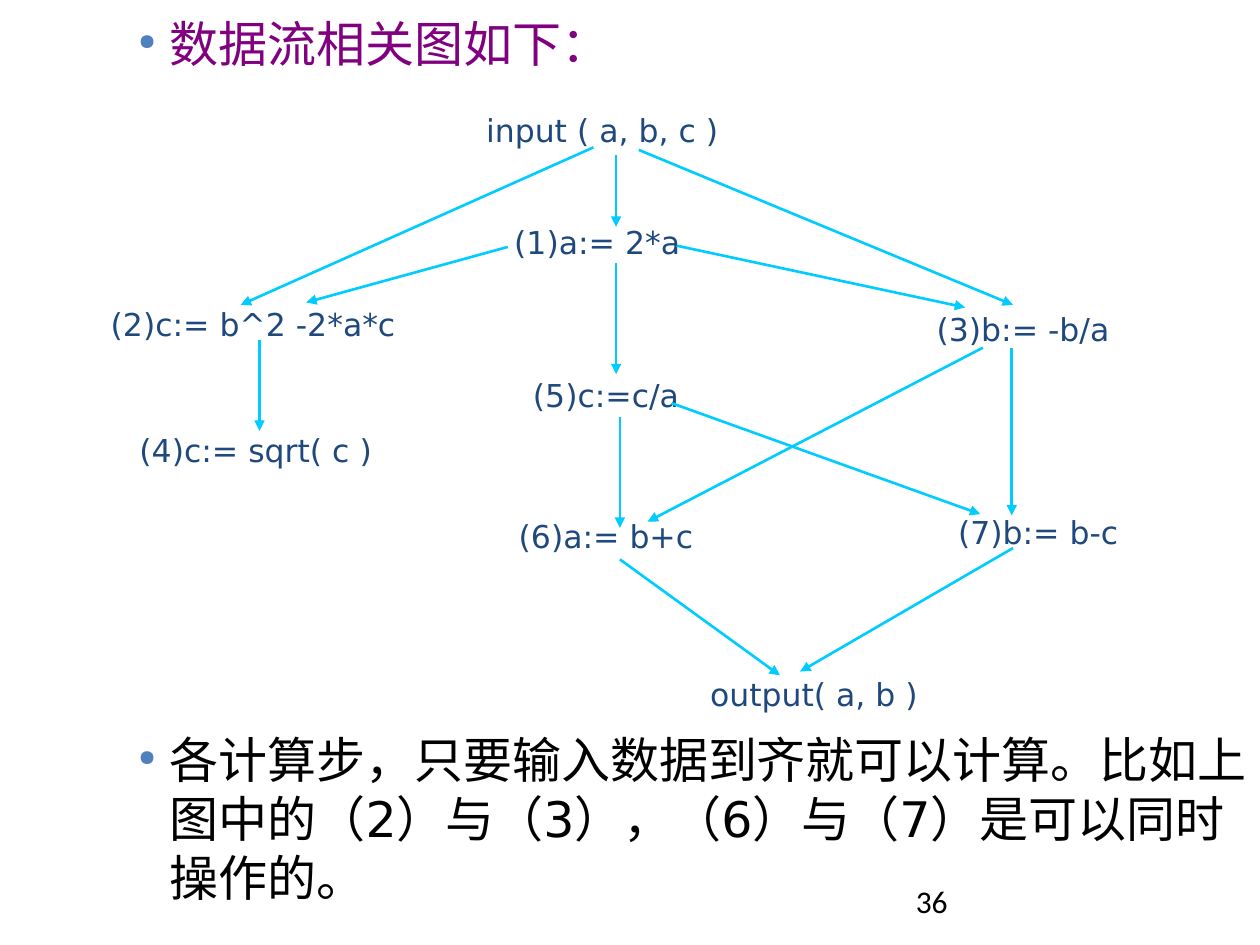
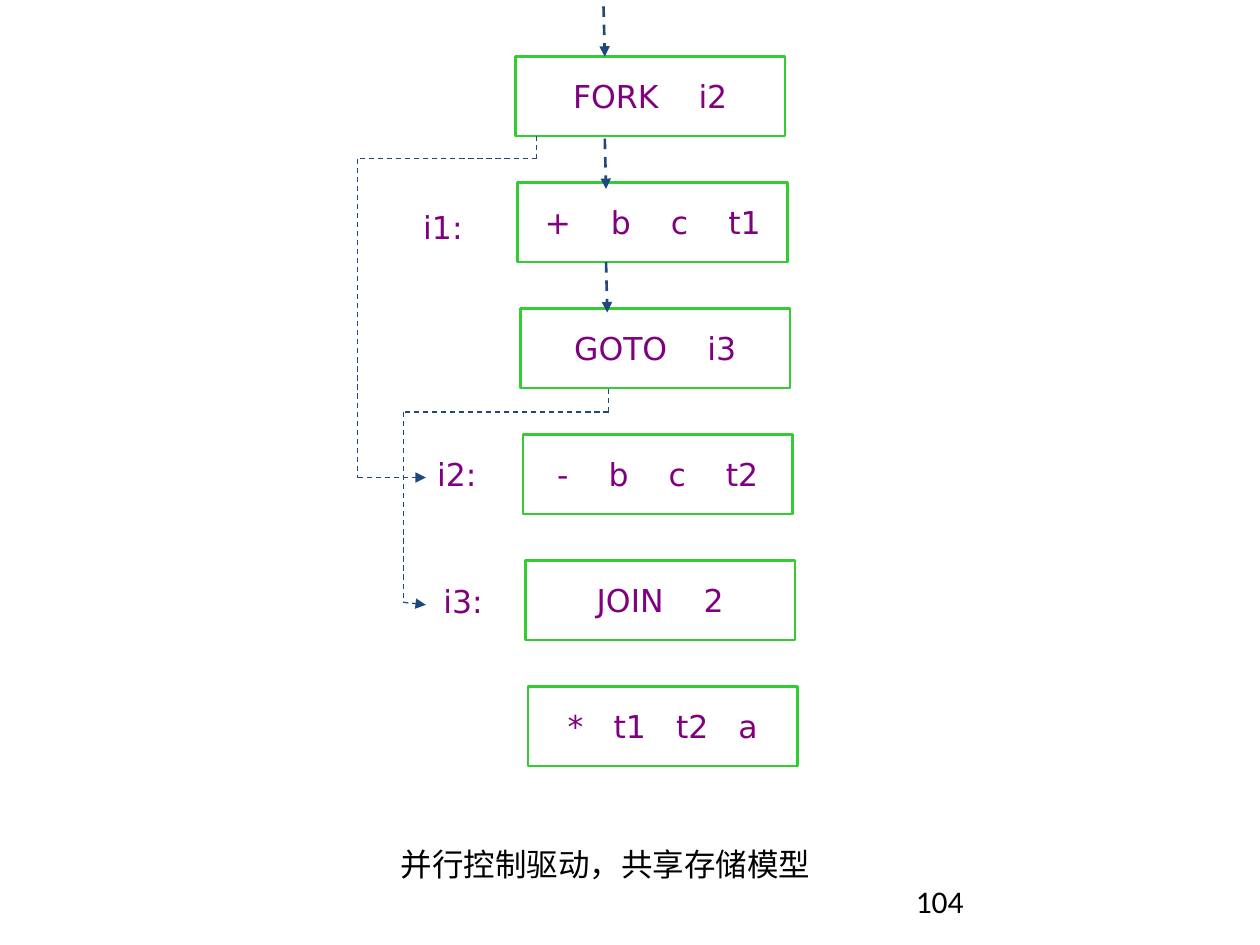
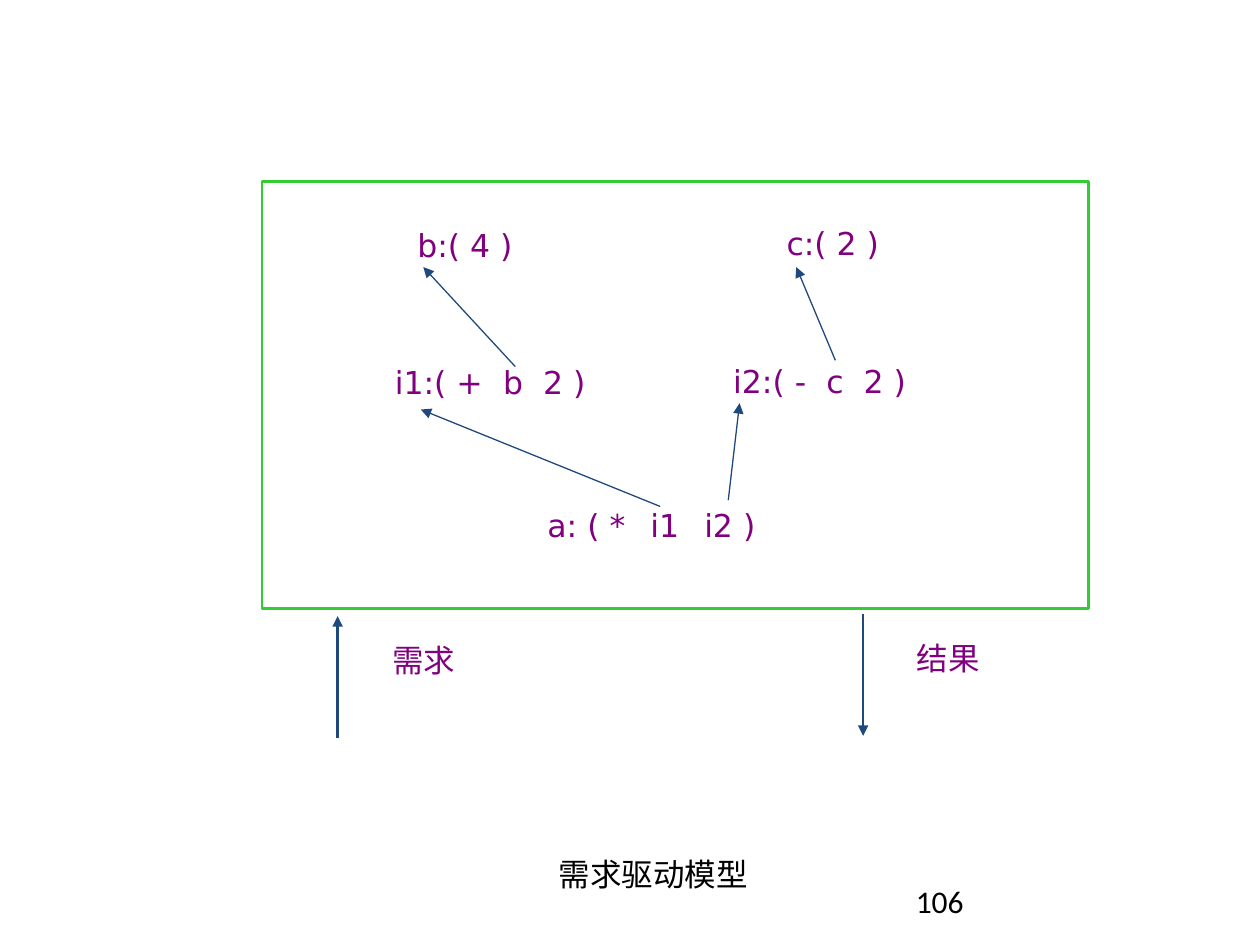
from dataclasses import dataclass
from itertools import pairwise

from lxml.etree import SubElement
from pptx import Presentation
from pptx.dml.color import RGBColor
from pptx.enum.dml import MSO_LINE_DASH_STYLE as Dash
from pptx.enum.shapes import MSO_CONNECTOR as Connector, MSO_SHAPE as Shape
from pptx.enum.text import MSO_ANCHOR as Anchor, PP_ALIGN as Align
from pptx.oxml.ns import qn
from pptx.util import Inches, Pt


@dataclass(frozen=True)
class Theme:
    black: str = "000000"
    purple: str = "800080"
    navy: str = "1F497D"
    cyan: str = "00CCFF"
    green: str = "33CC33"
    bullet: str = "4F81BD"
    font: str = "DejaVu Sans"
    number_font: str = "Calibri"
    body_size: int = 28
    label_size: int = 18
    space_width: float = 5.72
    thick: float = 1.5
    thin: float = 0.75


THEME = Theme()


@dataclass(frozen=True)
class Region:
    """A box on a slide; parts are placed relative to its top left corner."""
    slide: object
    left: float = 0
    top: float = 0

    def rectangle(self, left, top, width, height):
        return (Inches(self.left + left), Inches(self.top + top),
                Inches(width), Inches(height))

    def point(self, x, y):
        return Inches(self.left + x), Inches(self.top + y)


def style_run(run, color, size=THEME.label_size, font=THEME.font):
    run.font.name = font
    run.font.size = Pt(size)
    run.font.color.rgb = RGBColor.from_string(color)
    SubElement(run.font._element, qn("a:ea")).set("typeface", font)


def write_centred(shape, words, color, gap=1):
    """Write one centred line, with words set apart by gap space widths."""
    frame = shape.text_frame
    frame.word_wrap = False
    frame.vertical_anchor = Anchor.MIDDLE
    paragraph = frame.paragraphs[0]
    paragraph.alignment = Align.CENTER
    for index, word in enumerate(words):
        if index:
            space = paragraph.add_run()
            space.text = " "
            style_run(space, color)
            extra = (gap - 1) * THEME.space_width
            space.font._element.set("spc", str(round(extra * 100)))
        run = paragraph.add_run()
        run.text = word
        style_run(run, color)


def add_label(region, box, words, color=THEME.purple, gap=1):
    shape = region.slide.shapes.add_textbox(*region.rectangle(*box))
    write_centred(shape, words, color, gap)


def add_frame(region, *box):
    shape = region.slide.shapes.add_shape(Shape.RECTANGLE, *region.rectangle(*box))
    shape.shadow.inherit = False
    shape.fill.background()
    shape.line.color.rgb = RGBColor.from_string(THEME.green)
    shape.line.width = Pt(THEME.thick)
    return shape


def add_line(region, start, end, color=THEME.navy, width=THEME.thick,
             dashed=False, arrow=True):
    connector = region.slide.shapes.add_connector(
        Connector.STRAIGHT, *region.point(*start), *region.point(*end))
    line = connector.line
    line.color.rgb = RGBColor.from_string(color)
    line.width = Pt(width)
    if dashed:
        line.dash_style = Dash.DASH
    properties = connector._element.spPr
    if arrow:
        SubElement(properties.find(qn("a:ln")), qn("a:tailEnd")).set("type", "triangle")
    SubElement(properties, qn("a:effectLst"))


def add_route(region, points):
    """Draw a thin dashed path that ends in an arrow."""
    legs = list(pairwise(points))
    for index, (start, end) in enumerate(legs, 1):
        add_line(region, start, end, width=THEME.thin, dashed=True,
                 arrow=index == len(legs))


def add_bullet(region, box, text, color):
    frame = region.slide.shapes.add_textbox(*region.rectangle(*box)).text_frame
    frame.word_wrap = True
    paragraph = frame.paragraphs[0]
    paragraph.text = text
    style_run(paragraph.runs[0], color, THEME.body_size)
    properties = paragraph._p.get_or_add_pPr()
    properties.set("marL", str(Inches(1.25)))
    properties.set("indent", str(-Inches(0.25)))
    bullet_color = SubElement(properties, qn("a:buClr"))
    SubElement(bullet_color, qn("a:srgbClr")).set("val", THEME.bullet)
    SubElement(properties, qn("a:buSzPct")).set("val", "45000")
    SubElement(properties, qn("a:buChar")).set("char", "●")


def add_page_number(slide, number):
    box = Region(slide).rectangle(7.17, 6.95, 2.33, 0.4)
    frame = slide.shapes.add_textbox(*box).text_frame
    frame.word_wrap = True
    frame.text = str(number)
    style_run(frame.paragraphs[0].runs[0], THEME.black, font=THEME.number_font)


def add_caption(slide, left, top, text):
    add_label(Region(slide), (left, top, 4.49, 0.41), [text], THEME.black)


def draw_data_flow(region):
    node_width, wide_node_width = 2.08, 2.6
    nodes = [
        ("input ( a, b, c )", 3.81, 0, node_width),
        ("(1)a:= 2*a", 3.77, 0.89, node_width),
        ("(2)c:= b^2 -2*a*c", 1.04, 1.54, wide_node_width),
        ("(4)c:= sqrt( c )", 1.06, 2.54, node_width),
        ("(5)c:=c/a", 3.84, 2.1, node_width),
        ("(6)a:= b+c", 3.84, 3.22, node_width),
        ("(3)b:= -b/a", 7.15, 1.58, node_width),
        ("(7)b:= b-c", 7.27, 3.19, node_width),
        ("output( a, b )", 5.49, 4.48, node_width),
    ]
    for text, centre, top, width in nodes:
        add_label(region, (centre - width / 2, top, width, 0.42), [text], THEME.navy)

    flows = [
        ((3.74, 0.35), (0.94, 1.6)), ((3.92, 0.41), (3.92, 0.98)),
        ((4.1, 0.37), (7.07, 1.6)), ((4.4, 1.13), (6.69, 1.62)),
        ((3.06, 1.14), (1.46, 1.58)), ((3.92, 1.27), (3.92, 2.15)),
        ((1.09, 1.88), (1.09, 2.6)), ((7.06, 1.94), (7.06, 3.27)),
        ((3.95, 2.49), (3.95, 3.37)), ((4.36, 2.38), (6.81, 3.26)),
        ((6.83, 1.94), (4.17, 3.32)), ((3.95, 3.62), (5.22, 4.54)),
        ((7.07, 3.53), (5.38, 4.51)),
    ]
    for start, end in flows:
        add_line(region, start, end, THEME.cyan)


def draw_instructions(region):
    """Stack the instructions, with the jumps to their left."""
    instructions = [
        ("FORK i2", 4), ("+ b c t1", 4), ("GOTO i3", 4),
        ("- b c t2", 4), ("JOIN 2", 4), ("* t1 t2 a", 3),
    ]
    for row, (text, gap) in enumerate(instructions):
        frame = add_frame(region, 1.25 + 0.02 * row, 0.4 + row, 2.14, 0.63)
        write_centred(frame, text.split(), THEME.purple, gap)

    for text, left, top in [("i1:", 0.28, 1.46), ("i2:", 0.39, 3.42), ("i3:", 0.44, 4.43)]:
        add_label(region, (left, top, 0.79, 0.58), [text])

    for x, y in [(1.95, 0), (1.96, 1.05), (1.97, 2.03)]:
        add_line(region, (x, y), (x + 0.01, y + 0.4), dashed=True)

    add_route(region, [(1.42, 1.03), (1.42, 1.21), (0, 1.21), (0, 3.74), (0.54, 3.74)])
    add_route(region, [(1.99, 3.04), (1.99, 3.22), (0.36, 3.22), (0.36, 4.73), (0.54, 4.75)])


def draw_demand_tree(region):
    add_frame(region, 0, 0, 6.56, 3.39)
    expressions = [
        (["b:( 4 )"], 1, (0.9, 0.21, 1.42, 0.58)),
        (["c:( 2 )"], 1, (3.82, 0.2, 1.42, 0.58)),
        (["i1:( +", "b", "2 )"], 2, (0.92, 1.29, 1.78, 0.6)),
        (["i2:( -", "c", "2 )"], 2, (3.59, 1.28, 1.67, 0.6)),
        (["a: ( *", "i1", "i2 )"], 2.5, (1.87, 2.43, 2.44, 0.6)),
        (["需求"], 1, (0.8, 3.5, 0.97, 0.6)),
        (["结果"], 1, (4.96, 3.48, 0.97, 0.6)),
    ]
    for words, gap, box in expressions:
        add_label(region, box, words, gap=gap)

    requests = [
        ((3.16, 2.58), (1.26, 1.81)), ((3.7, 2.53), (3.79, 1.76)),
        ((2.01, 1.47), (1.28, 0.68)), ((4.55, 1.42), (4.24, 0.68)),
    ]
    for start, end in requests:
        add_line(region, start, end, width=THEME.thin)
    add_line(region, (0.6, 4.42), (0.6, 3.45))
    add_line(region, (4.77, 3.43), (4.77, 4.4))


def build_data_flow_slide(slide):
    page = Region(slide)
    add_bullet(page, (0, 0.06, 10, 0.67), "数据流相关图如下：", THEME.purple)
    draw_data_flow(Region(slide, 0.97, 0.82))
    add_bullet(page, (0, 5.74, 10, 1.76),
               "各计算步，只要输入数据到齐就可以计算。比如上图中的（2）与（3），"
               "（6）与（7）是可以同时操作的。", THEME.black)


def build_control_slide(slide):
    draw_instructions(Region(slide, 2.84, 0.05))
    add_caption(slide, 2.56, 6.65, "并行控制驱动，共享存储模型")


def build_demand_slide(slide):
    draw_demand_tree(Region(slide, 2.08, 1.44))
    add_caption(slide, 2.94, 6.73, "需求驱动模型")


def main():
    presentation = Presentation()
    presentation.slide_width = Inches(10)
    presentation.slide_height = Inches(7.5)
    blank_layout = presentation.slide_layouts[6]
    pages = [(36, build_data_flow_slide), (104, build_control_slide),
             (106, build_demand_slide)]
    for number, build in pages:
        slide = presentation.slides.add_slide(blank_layout)
        build(slide)
        add_page_number(slide, number)
    presentation.save("out.pptx")


if __name__ == "__main__":
    main()
